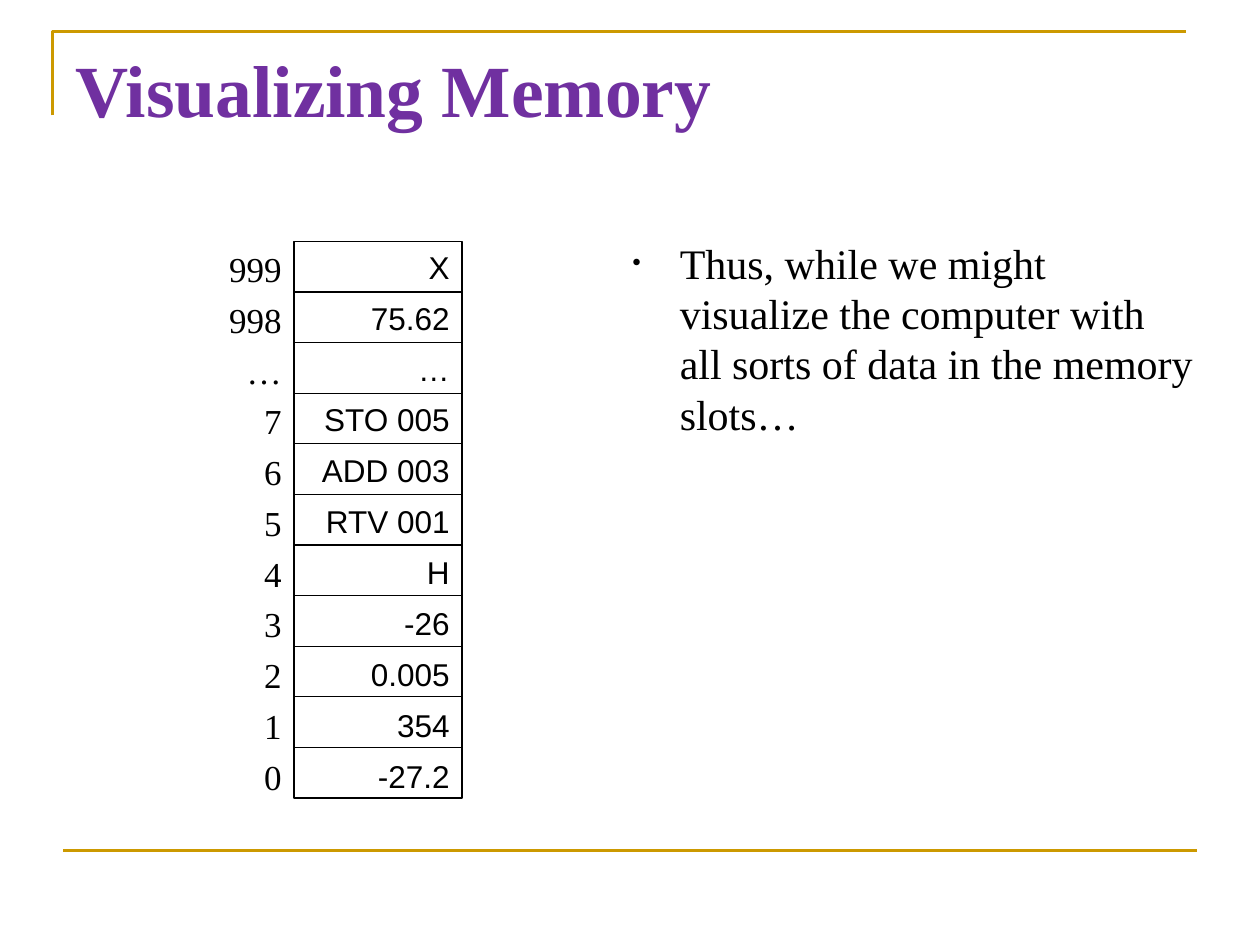
import pptx
import pptx.dml.color
import pptx.enum.shapes
import pptx.enum.text
import pptx.oxml
import pptx.oxml.ns
import pptx.util

# The page is a grid of 120 columns by 90 rows, twelve to the inch.
UNIT = pptx.util.Inches(1) // 12
SERIF, SANS = "Times New Roman", "Arial"
GOLD, PURPLE, BLACK = "CC9900", "7030A0", "000000"
LINE_HEIGHT = 1.2

MEMORY = [
    ("999", "X"), ("998", "75.62"), ("…", "…"), ("7", "STO 005"),
    ("6", "ADD 003"), ("5", "RTV 001"), ("4", "H"), ("3", "-26"),
    ("2", "0.005"), ("1", "354"), ("0", "-27.2"),
]


def grid(*cells):
    return [round(cell * UNIT) for cell in cells]


def color(value):
    return pptx.dml.color.RGBColor.from_string(value)


def style_line(shape, value, width):
    shape.line.color.rgb = color(value)
    shape.line.width = pptx.util.Pt(width)


def add_line(page, start, end, value, width):
    line = page.shapes.add_connector(
        pptx.enum.shapes.MSO_CONNECTOR.STRAIGHT, *grid(*start, *end))
    style_line(line, value, width)
    properties = line._element.spPr
    properties.append(pptx.oxml.parse_xml(
        f'<a:effectLst {pptx.oxml.ns.nsdecls("a")}/>'))


def add_text(page, area, texts, size, font, value=BLACK, bold=False,
             align=pptx.enum.text.PP_ALIGN.LEFT, gap=0):
    """Place one paragraph per text, with gap points between paragraphs."""
    box = page.shapes.add_textbox(*grid(*area))
    frame = box.text_frame
    frame.word_wrap = True
    for index, text in enumerate(texts):
        para = frame.add_paragraph() if index else frame.paragraphs[0]
        para.alignment = align
        para.line_spacing = pptx.util.Pt(size * LINE_HEIGHT)
        if index:
            para.space_before = pptx.util.Pt(gap)
        span = para.add_run()
        span.text = text
        span.font.size = pptx.util.Pt(size)
        span.font.name = font
        span.font.bold = bold
        span.font.color.rgb = color(value)
    return box


def add_bullet(para, indent):
    properties = para._p.get_or_add_pPr()
    distance = pptx.util.Inches(indent)
    properties.set("marL", str(distance))
    properties.set("indent", str(-distance))
    namespace = pptx.oxml.ns.nsdecls("a")
    for element in (
        f'<a:buClr {namespace}><a:srgbClr val="{BLACK}"/></a:buClr>',
        f'<a:buSzPct {namespace} val="65000"/>',
        f'<a:buFont {namespace} typeface="{SERIF}"/>',
        f'<a:buChar {namespace} char="•"/>',
    ):
        properties.append(pptx.oxml.parse_xml(element))


def add_frame(page, left, top, width, height):
    """Draw the gold corner at the top and the gold rule at the bottom."""
    builder = page.shapes.build_freeform(*grid(left, top + 8))
    builder.add_line_segments(
        [grid(left, top), grid(left + width, top)], close=False)
    corner = builder.convert_to_shape()
    corner.shadow.inherit = False
    corner.fill.background()
    style_line(corner, GOLD, 1.5)
    bottom = top + height
    add_line(page, (left + 1, bottom), (left + 1 + width, bottom), GOLD, 1.5)


def add_memory(page, left, top, width, height):
    """Draw a column of memory slots with their addresses on the left."""
    slots = page.shapes.add_shape(
        pptx.enum.shapes.MSO_SHAPE.RECTANGLE, *grid(left, top, width, height))
    slots.shadow.inherit = False
    slots.fill.background()
    style_line(slots, BLACK, 0.75)
    for row in range(1, len(MEMORY)):
        y = top + height * row / len(MEMORY)
        add_line(page, (left, y), (left + width, y), BLACK, 0.75)

    addresses, values = zip(*MEMORY)
    right = pptx.enum.text.PP_ALIGN.RIGHT
    add_text(page, (left, top, width, height), values, 18, SANS,
             align=right, gap=7.5)
    add_text(page, (left - 18, top, 18, height), addresses, 20, SERIF,
             align=right, gap=5)


def add_remark(page, *area):
    box = add_text(page, area, [
        "Thus, while we might visualize the computer with all sorts of data "
        "in the memory slots…"], 24, SERIF)
    add_bullet(box.text_frame.paragraphs[0], 0.38)


def main():
    deck = pptx.Presentation()
    deck.slide_width, deck.slide_height = grid(120, 90)
    page = deck.slides.add_slide(deck.slide_layouts[6])
    add_frame(page, 5, 3, 108, 78)
    add_text(page, (6, 3.6, 108, 18), ["Visualizing Memory"], 42, SERIF,
             PURPLE, bold=True)
    add_memory(page, 28, 23, 16, 53)
    add_remark(page, 59, 22, 56, 60)
    deck.save("out.pptx")


if __name__ == "__main__":
    main()
